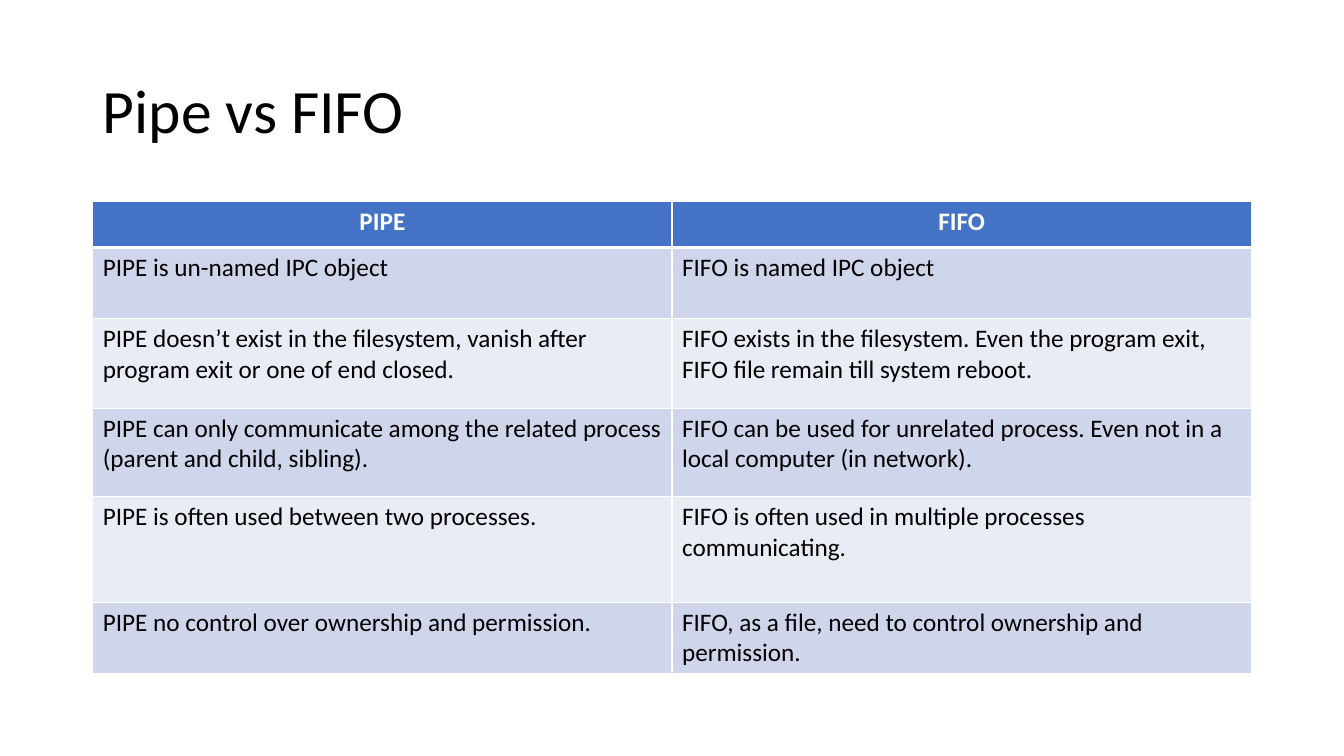
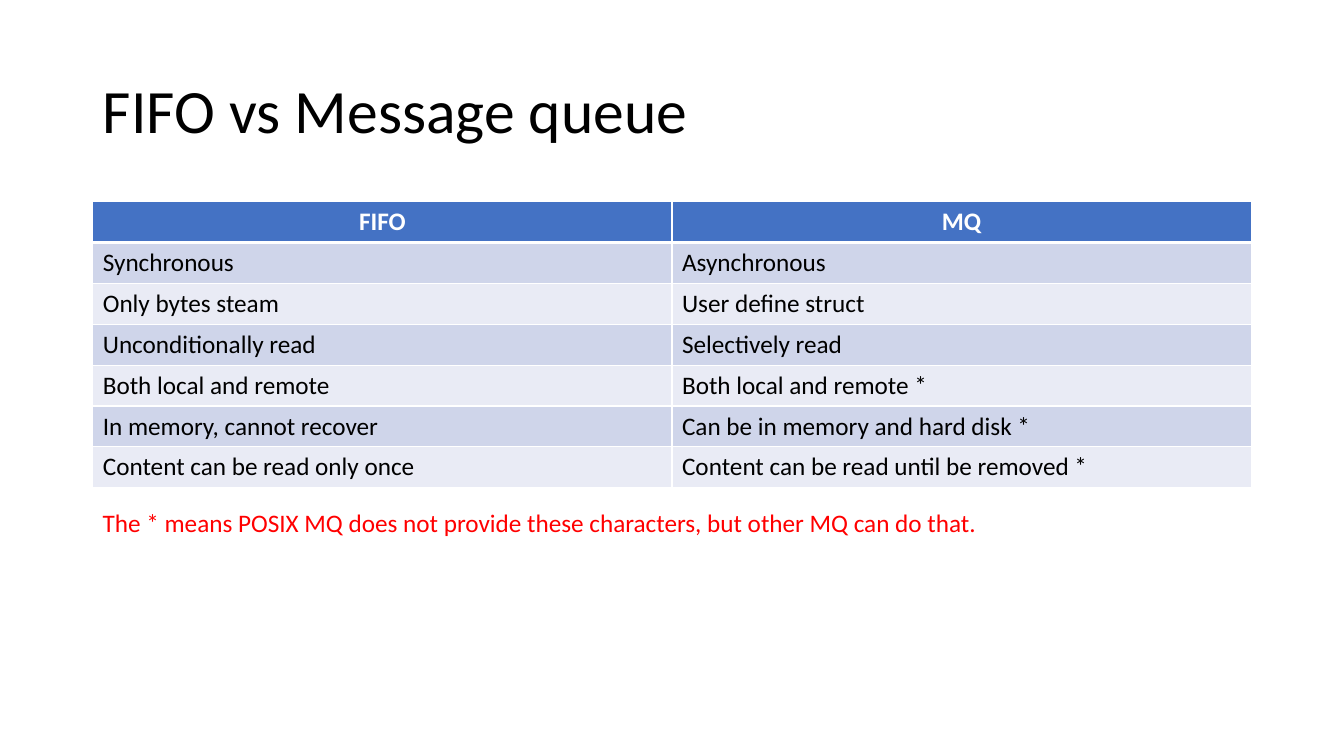
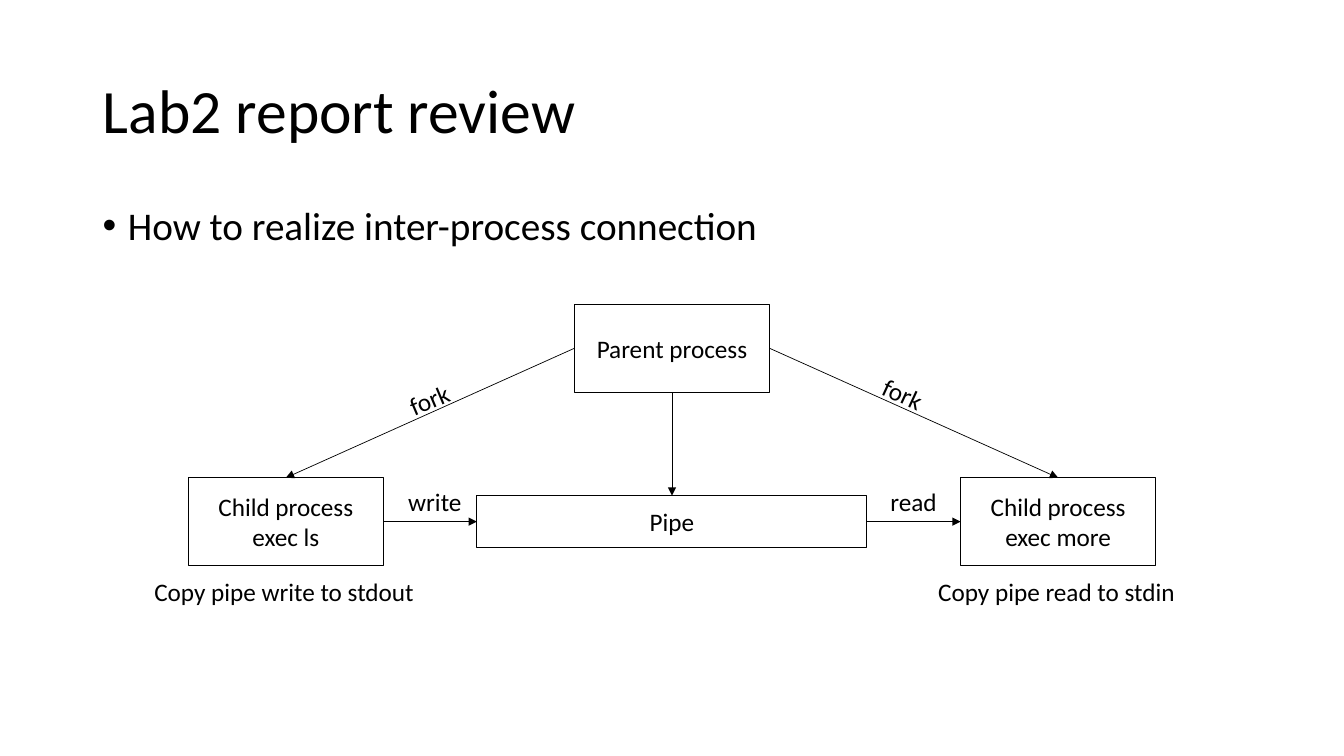
from dataclasses import dataclass
from pptx import Presentation
from pptx.dml.color import RGBColor as RGB
from pptx.enum.shapes import MSO_CONNECTOR as CONN, MSO_SHAPE as SHAPE
from pptx.enum.text import MSO_ANCHOR as ANCHOR, MSO_AUTO_SIZE as FIT, PP_ALIGN as ALIGN
from pptx.oxml.ns import qn
from pptx.util import Inches, Pt
from lxml.etree import SubElement

TOP, LEFT, BOTTOM, RIGHT = range(4)


@dataclass(frozen=True)
class Theme:
    """Colours, type sizes and line widths of the deck."""
    font: str = "Calibri"
    title: int = 44
    bullet: int = 28
    body: int = 18
    ink: str = "000000"
    paper: str = "FFFFFF"
    note: str = "FF0000"
    header: str = "4472C4"
    bands: tuple = ("CFD5EA", "E9EBF5")
    outline: float = 0.75
    arrow: float = 0.5
    rule: float = 1
    header_rule: float = 3


class Deck:
    """Draws on a grid of 12 columns between the margins and 30 rows."""

    def __init__(self, theme):
        """Start an empty widescreen presentation."""
        self.t = theme
        self.prs = Presentation()
        self.prs.slide_width, self.prs.slide_height = Inches(13.33), Inches(7.5)
        self.margin = Inches(0.92)
        self.col = (self.prs.slide_width - 2 * self.margin) / 12
        self.row = self.prs.slide_height / 30

    def area(self, x, y, w, h):
        """Turn grid columns and rows into a position and size."""
        return (int(self.margin + x * self.col), int(y * self.row),
                int(w * self.col), int(h * self.row))

    def centred(self, x, y, w, h):
        """Give the area of the given size around a grid point."""
        return self.area(x - w / 2, y - h / 2, w, h)

    def fill_text(self, tf, text, size, color=None, bold=False, align=ALIGN.LEFT):
        """Set the text of a frame and format its runs."""
        tf.text = text
        for p in tf.paragraphs:
            p.alignment = align
            for r in p.runs:
                r.font.name, r.font.size, r.font.bold = self.t.font, Pt(size), bold
                r.font.color.rgb = RGB.from_string(color or self.t.ink)

    def slide(self, title):
        """Add a slide with its title."""
        self.s = self.prs.slides.add_slide(self.prs.slide_layouts[5])
        sp = self.s.shapes.title
        sp.left, sp.top, sp.width, sp.height = self.area(0, 1.6, 12, 5.8)
        tf = sp.text_frame
        self.fill_text(tf, title, self.t.title)
        tf.vertical_anchor, tf.auto_size = ANCHOR.MIDDLE, FIT.NONE
        tf.paragraphs[0].line_spacing = 0.9

    def bullet(self, text):
        """Add a bulleted line at the top of the body."""
        tf = self.s.shapes.add_textbox(*self.area(0, 8, 12, 19)).text_frame
        tf.word_wrap = True
        self.fill_text(tf, text, self.t.bullet)
        p = tf.paragraphs[0]
        p.line_spacing, p.space_before = 0.9, Pt(10)
        pPr = p._p.get_or_add_pPr()
        pPr.set("marL", str(Inches(0.25)))
        pPr.set("indent", str(-Inches(0.25)))
        SubElement(pPr, qn("a:buFont"), typeface="Arial")
        SubElement(pPr, qn("a:buChar"), char="•")

    def label(self, text, x, y, w, color=None, rotation=0):
        """Add one line of text centred on a grid point."""
        sp = self.s.shapes.add_textbox(*self.centred(x, y, w, 1.6))
        sp.rotation = rotation
        tf = sp.text_frame
        tf.word_wrap, tf.auto_size = False, FIT.SHAPE_TO_FIT_TEXT
        self.fill_text(tf, text, self.t.body, color)

    def box(self, text, x, y, w=2.02, h=3.48):
        """Add an outlined box centred on a grid point."""
        sp = self.s.shapes.add_shape(SHAPE.RECTANGLE, *self.centred(x, y, w, h))
        sp.shadow.inherit = False
        sp.fill.background()
        sp.line.color.rgb, sp.line.width = RGB.from_string(self.t.ink), Pt(self.t.outline)
        sp.text_frame.vertical_anchor = ANCHOR.MIDDLE
        self.fill_text(sp.text_frame, text, self.t.body, align=ALIGN.CENTER)
        return sp

    def arrow(self, start, start_side, end, end_side):
        """Join the sides of two boxes with an arrow."""
        c = self.s.shapes.add_connector(CONN.STRAIGHT, 0, 0, 0, 0)
        c.begin_connect(start, start_side)
        c.end_connect(end, end_side)
        c.line.color.rgb, c.line.width = RGB.from_string(self.t.ink), Pt(self.t.arrow)
        SubElement(c.line._get_or_add_ln(), qn("a:tailEnd"), type="triangle")
        SubElement(c._element.spPr, qn("a:effectLst"))

    def borders(self, cell, top, bottom):
        """Rule the four sides of a table cell."""
        tcPr = cell._tc.get_or_add_tcPr()
        widths = {"L": self.t.rule, "R": self.t.rule, "T": top, "B": bottom}
        for side, width in widths.items():
            ln = SubElement(tcPr, qn(f"a:ln{side}"), w=str(Pt(width)))
            SubElement(SubElement(ln, qn("a:solidFill")), qn("a:srgbClr"), val=self.t.paper)

    def table(self, rows, heights):
        """Add a banded table with a header row."""
        area = self.area(0, 8, 12, sum(heights))
        tbl = self.s.shapes.add_table(len(rows), len(rows[0]), *area).table
        thin, thick = self.t.rule, self.t.header_rule
        for i, (texts, height) in enumerate(zip(rows, heights)):
            tbl.rows[i].height = int(height * self.row)
            head = i == 0
            fill = self.t.header if head else self.t.bands[(i - 1) % 2]
            for cell, text in zip(tbl.rows[i].cells, texts):
                self.borders(cell, thick if i == 1 else thin, thick if head else thin)
                cell.fill.solid()
                cell.fill.fore_color.rgb = RGB.from_string(fill)
                self.fill_text(cell.text_frame, text, self.t.body,
                               self.t.paper if head else self.t.ink, head,
                               ALIGN.CENTER if head else ALIGN.LEFT)


theme = Theme()
deck = Deck(theme)

deck.slide("Pipe vs FIFO")
deck.table([
    ("PIPE", "FIFO"),
    ("PIPE is un-named IPC object", "FIFO is named IPC object"),
    ("PIPE doesn’t exist in the filesystem, vanish after program exit or one of end closed.",
     "FIFO exists in the filesystem. Even the program exit, FIFO file remain till system reboot."),
    ("PIPE can only communicate among the related process (parent and child, sibling).",
     "FIFO can be used for unrelated process. Even not in a local computer (in network)."),
    ("PIPE is often used between two processes.",
     "FIFO is often used in multiple processes communicating."),
    ("PIPE no control over ownership and permission.",
     "FIFO, as a file, need to control ownership and permission."),
], [1.82, 2.82, 3.56, 3.5, 4.2, 2.82])

deck.slide("FIFO vs Message queue")
deck.table([
    ("FIFO", "MQ"),
    ("Synchronous", "Asynchronous"),
    ("Only bytes steam", "User define struct"),
    ("Unconditionally read", "Selectively read"),
    ("Both local and remote", "Both local and remote *"),
    ("In memory, cannot recover", "Can be in memory and hard disk *"),
    ("Content can be read only once", "Content can be read until be removed *"),
], [1.62] * 7)
deck.label("The * means POSIX MQ does not provide these characters, but other MQ can do that.",
           4.68, 20.72, 9.36, theme.note)

deck.slide("Lab2 report review")
deck.bullet("How to realize inter-process connection")
parent = deck.box("Parent process", 6, 13.82)
writer = deck.box("Child process\nexec ls", 2, 20.7)
reader = deck.box("Child process\nexec more", 10, 20.7)
pipe = deck.box("Pipe", 6, 20.7, 4.04, 2.06)
deck.arrow(parent, LEFT, writer, TOP)
deck.arrow(parent, BOTTOM, pipe, TOP)
deck.arrow(parent, RIGHT, reader, TOP)
deck.arrow(writer, RIGHT, pipe, LEFT)
deck.arrow(pipe, RIGHT, reader, LEFT)
deck.label("fork", 3.49, 15.84, 0.64, rotation=337.1)
deck.label("fork", 8.4, 15.64, 0.64, rotation=24.8)
deck.label("write", 3.55, 19.92, 0.77)
deck.label("read", 8.51, 19.92, 0.7)
deck.label("Copy pipe write to stdout", 2, 23.48, 2.93)
deck.label("Copy pipe read to stdin", 10, 23.48, 2.69)

deck.prs.save("out.pptx")
